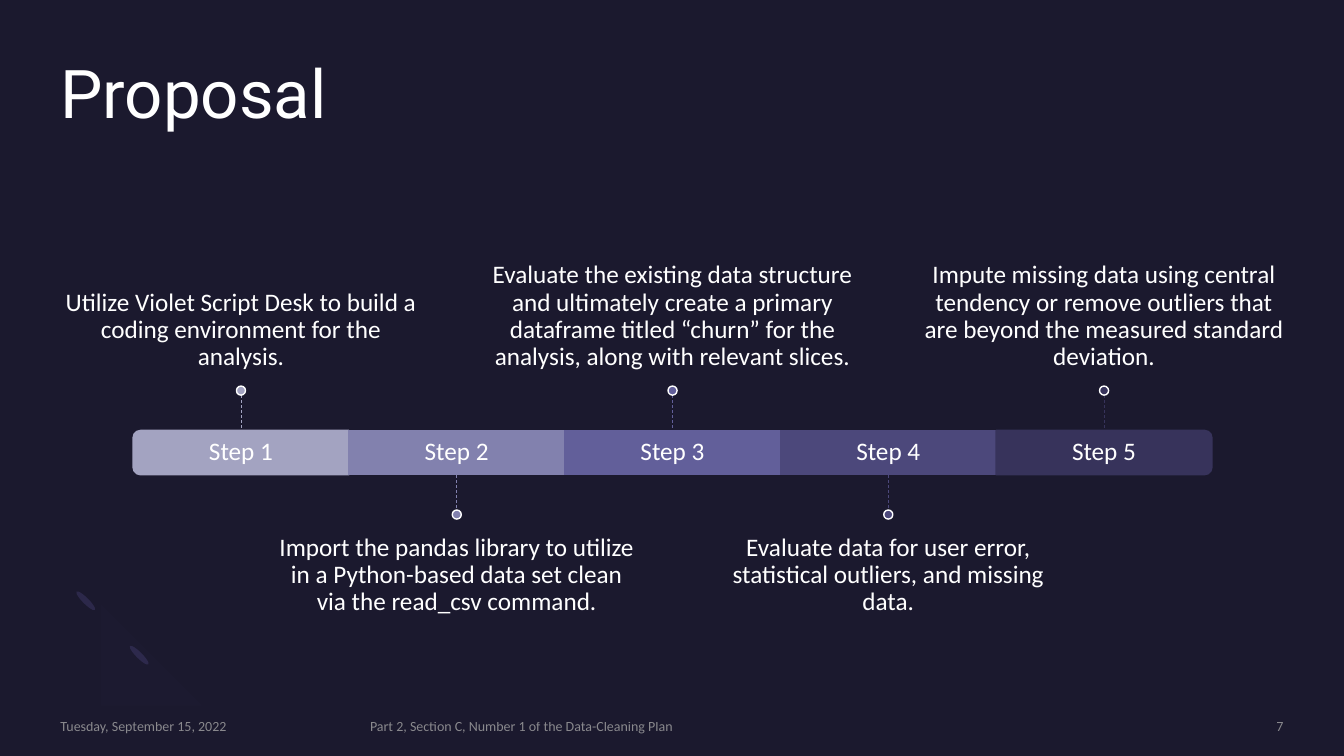
from lxml import etree
from pptx import Presentation, util as u
from pptx.dml import color
from pptx.enum import dml, shapes, text
from pptx.oxml import ns

COLORS = {
    "background": "1B192E", "white": "FFFFFF", "footer": "A6A6A6",
    "leaf": "2C284A", "arc": "7771B2",
}
STEPS = [
    ("A3A3C1", "Utilize Violet Script Desk to build a coding environment "
               "for the analysis."),
    ("8281AE", "Import the pandas library to utilize in a Python-based data "
               "set clean via the read_csv command."),
    ("625F9A", "Evaluate the existing data structure and ultimately create a "
               "primary dataframe titled “churn” for the analysis, along "
               "with relevant slices."),
    ("4C487B", "Evaluate data for user error, statistical outliers, and "
               "missing data."),
    ("37335B", "Impute missing data using central tendency or remove outliers "
               "that are beyond the measured standard deviation."),
]
FOOTERS = [
    (0.6, 2.88, "Tuesday, September 15, 2022", text.PP_ALIGN.LEFT),
    (3.67, 6.98, "Part 2, Section C, Number 1 of the Data-Cleaning Plan",
     text.PP_ALIGN.LEFT),
    (10.88, 1.85, "7", text.PP_ALIGN.RIGHT),
]
FIRST_CENTER, STEP_W = 2.39, 2.14
BAR_TOP, BAR_H = 4.27, 0.44
STEM, DOT = 0.35, 0.09
CAPTION_W, CAPTION_H, GAP = 3.57, 1.52, 0.15


def rgb(value):
    return color.RGBColor.from_string(value)


def set_attrs(obj, values):
    for name, value in values.items():
        setattr(obj, name, value)


def set_alpha(fill, percent):
    clr = fill._xPr.find(".//" + ns.qn("a:srgbClr"))
    etree.SubElement(clr, ns.qn("a:alpha")).set("val", str(percent * 1000))


def paint(sp, fill, line=None):
    sp.shadow.inherit = False
    sp.fill.solid()
    sp.fill.fore_color.rgb = rgb(fill)
    if line:
        sp.line.color.rgb = rgb(line)
        sp.line.width = u.Pt(1)
    else:
        sp.line.fill.background()


def add_preset(s, kind, box, fill, line=None, rotation=0):
    sp = s.shapes.add_shape(kind, *map(u.Inches, box))
    sp.rotation = rotation
    paint(sp, fill, line)


def add_text(s, box, words, size=18, font="Calibri", fill=COLORS["white"],
             alpha=None, anchor=text.MSO_ANCHOR.MIDDLE,
             align=text.PP_ALIGN.CENTER, spacing=0.9, top=0, bottom=0):
    tf = s.shapes.add_textbox(*map(u.Inches, box)).text_frame
    set_attrs(tf, {
        "word_wrap": True, "vertical_anchor": anchor,
        "margin_left": 0, "margin_right": 0,
        "margin_top": u.Inches(top), "margin_bottom": u.Inches(bottom),
    })
    p = tf.paragraphs[0]
    set_attrs(p, {"alignment": align, "line_spacing": spacing})
    r = p.add_run()
    r.text = words
    set_attrs(r.font, {"name": font, "size": u.Pt(size)})
    r.font.color.rgb = rgb(fill)
    if alpha:
        set_alpha(r.font.fill, alpha)


def add_stem(s, x, top, bottom, line):
    c = s.shapes.add_connector(shapes.MSO_CONNECTOR.STRAIGHT,
                               *map(u.Inches, (x, top, x, bottom)))
    c.line.color.rgb = rgb(line)
    set_attrs(c.line, {"width": u.Pt(0.5),
                       "dash_style": dml.MSO_LINE.DASH})
    etree.SubElement(c._element.spPr, ns.qn("a:effectLst"))


def curve(a, b, c, d, count=12):
    """Points along a cubic curve from a to d, without a itself."""
    ts = [i / count for i in range(1, count + 1)]
    return [tuple((1 - t) ** 3 * a[k] + 3 * (1 - t) ** 2 * t * b[k]
                  + 3 * (1 - t) * t ** 2 * c[k] + t ** 3 * d[k]
                  for k in (0, 1)) for t in ts]


def add_ornament(s):
    for left, top in ((1.35, 6.37), (0.82, 5.83)):
        add_preset(s, shapes.MSO_SHAPE.OVAL, (left, top, 0.06, 0.26),
                   COLORS["leaf"], rotation=135)
    start = (0.76, 6.59)
    points = curve(start, (0.56, 6.39), (0.58, 6.05), (0.81, 5.82))
    points += [(0.99, 6)]
    points += curve((0.99, 6), (0.87, 6.11), (0.86, 6.29), (0.96, 6.38))
    points += curve((0.96, 6.38), (1.06, 6.48), (1.23, 6.47), (1.35, 6.36))
    points += [(1.52, 6.54)]
    points += curve((1.52, 6.54), (1.3, 6.76), (0.95, 6.79), start)
    fb = s.shapes.build_freeform(*start, scale=u.Inches(1))
    fb.add_line_segments(points, close=True)
    arc = fb.convert_to_shape()
    paint(arc, COLORS["arc"])
    set_alpha(arc.fill, 2)


def add_segment(s, index, cx, fill):
    left = cx - STEP_W / 2
    last = len(STEPS) - 1
    if index in (0, last):
        # Rounded end piece, turned on its side
        middle = BAR_TOP + BAR_H / 2
        box = (cx - BAR_H / 2, middle - STEP_W / 2, BAR_H, STEP_W)
        add_preset(s, shapes.MSO_SHAPE.ROUND_2_SAME_RECTANGLE, box, fill,
                   fill, rotation=90 if index else 270)
    else:
        add_preset(s, shapes.MSO_SHAPE.RECTANGLE,
                   (left, BAR_TOP, STEP_W, BAR_H), fill, fill)
    add_text(s, (left, BAR_TOP, STEP_W, BAR_H), f"Step {index + 1}")


def add_step(s, index, fill, caption):
    cx = FIRST_CENTER + index * STEP_W
    add_segment(s, index, cx, fill)
    left = cx - CAPTION_W / 2
    # Captions alternate above and below the bar
    if index % 2 == 0:
        stem_top, stem_end = BAR_TOP - STEM, BAR_TOP
        dot_top = stem_top - DOT
        add_text(s, (left, dot_top - CAPTION_H, CAPTION_W, CAPTION_H), caption,
                 anchor=text.MSO_ANCHOR.BOTTOM, bottom=GAP)
    else:
        stem_top = BAR_TOP + BAR_H
        stem_end = dot_top = stem_top + STEM
        add_text(s, (left, dot_top + DOT, CAPTION_W, CAPTION_H), caption,
                 anchor=text.MSO_ANCHOR.TOP, top=GAP)
    add_stem(s, cx, stem_top, stem_end, fill)
    add_preset(s, shapes.MSO_SHAPE.OVAL, (cx - DOT / 2, dot_top, DOT, DOT),
               fill, COLORS["white"])


def main():
    prs = Presentation()
    set_attrs(prs, {"slide_width": u.Inches(13.33),
                    "slide_height": u.Inches(7.5)})
    s = prs.slides.add_slide(prs.slide_layouts[6])
    s.background.fill.solid()
    s.background.fill.fore_color.rgb = rgb(COLORS["background"])

    # Corner ornament and title
    add_ornament(s)
    add_text(s, (0.6, 0.6, 12.13, 1.46), "Proposal", size=48, font="Roboto",
             anchor=text.MSO_ANCHOR.TOP, align=text.PP_ALIGN.LEFT)

    # Timeline
    for index, (fill, caption) in enumerate(STEPS):
        add_step(s, index, fill, caption)

    # Footer
    for left, width, words, align in FOOTERS:
        add_text(s, (left, 7.12, width, 0.17), words, size=10,
                 fill=COLORS["footer"], alpha=80, align=align, spacing=1.0)

    prs.save("out.pptx")


if __name__ == "__main__":
    main()
